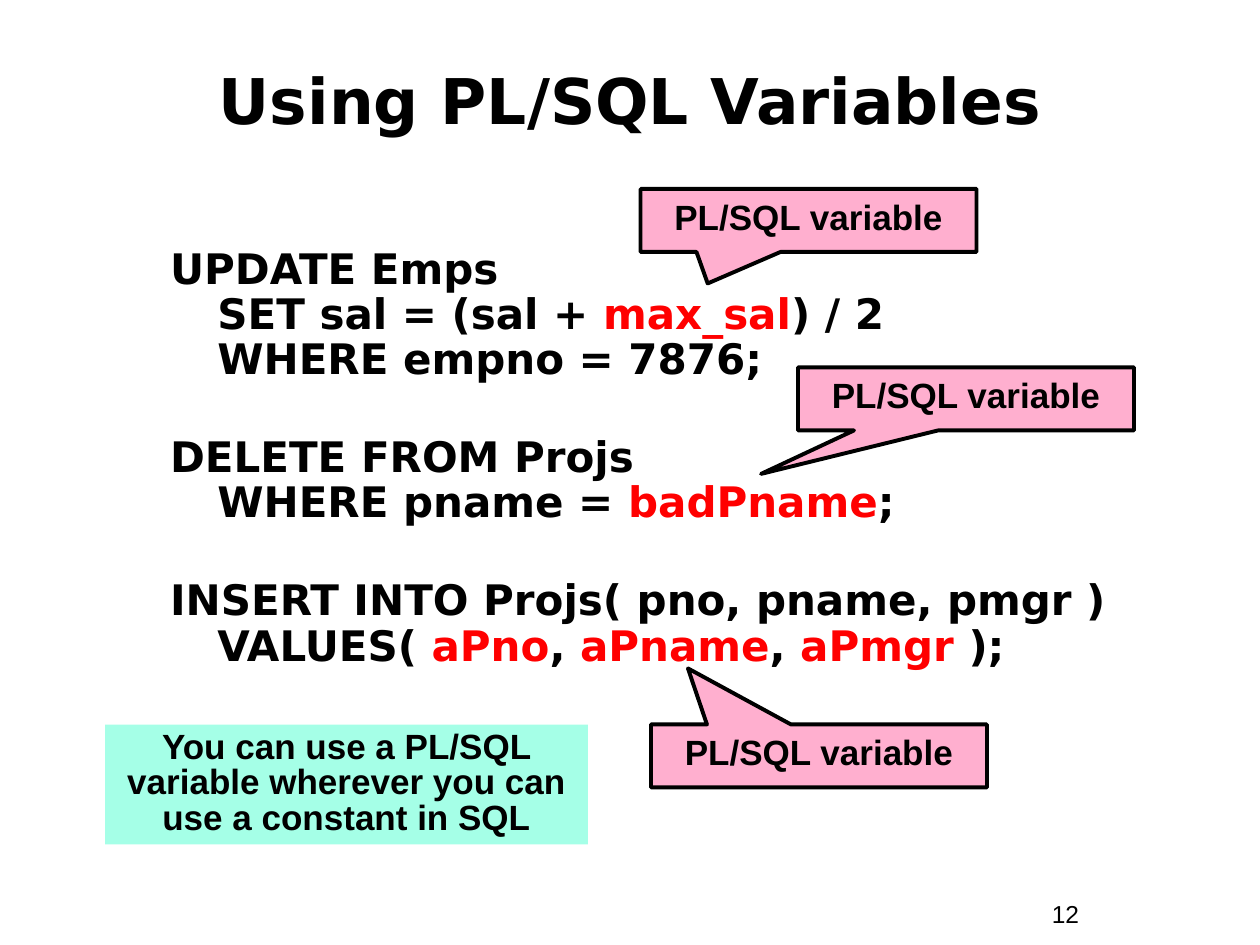
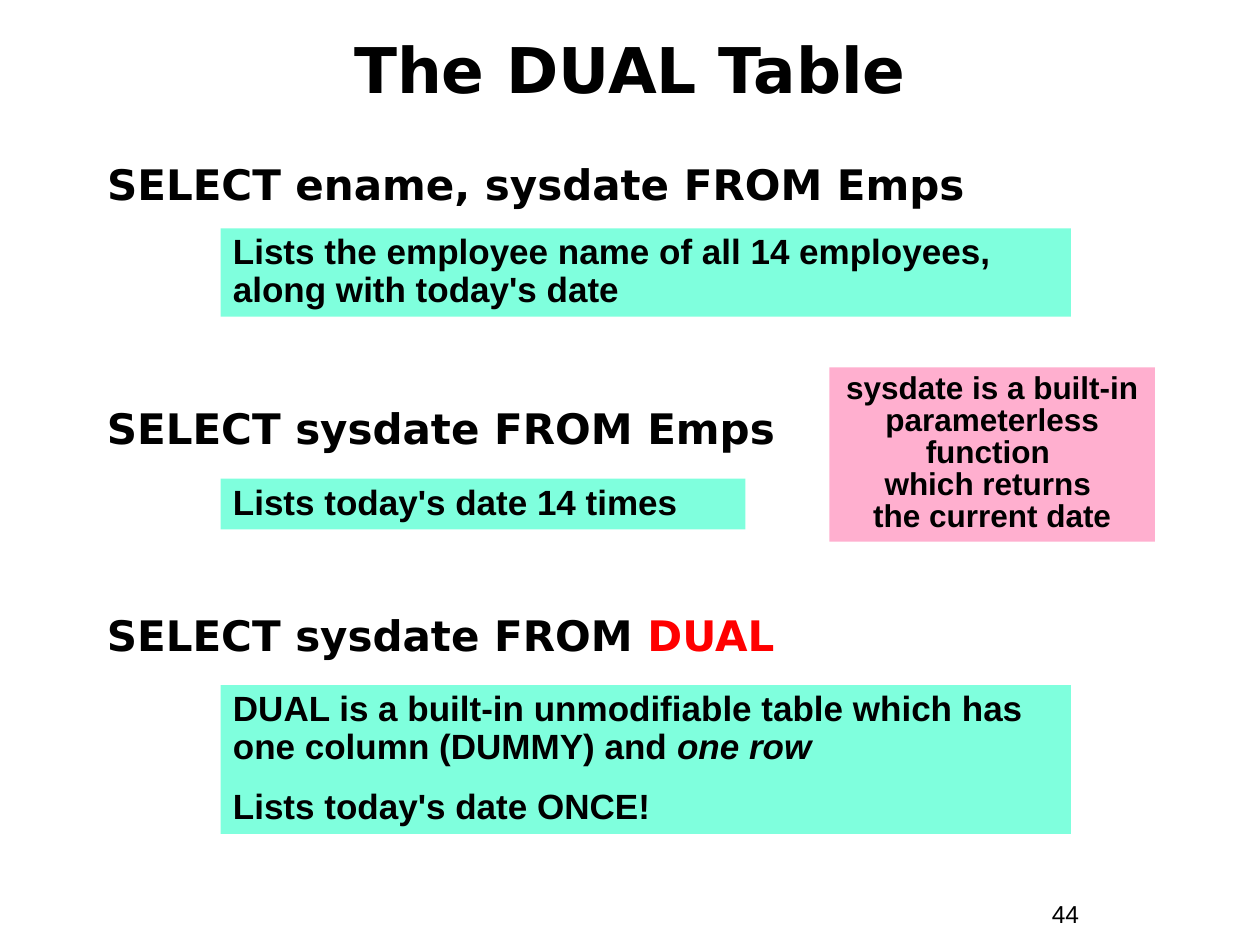
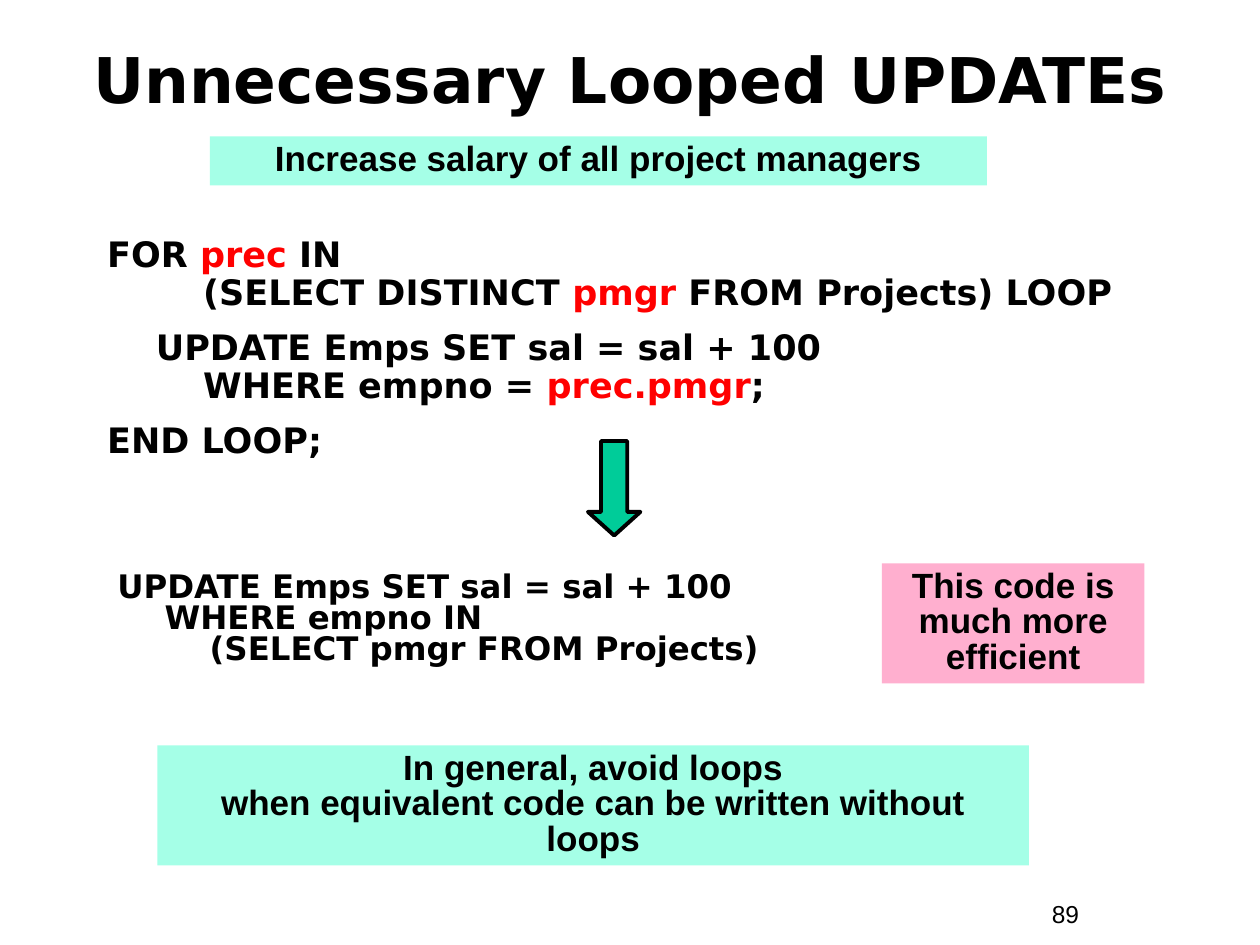
from lxml.etree import SubElement
from pptx import Presentation
from pptx.dml.color import RGBColor
from pptx.enum.shapes import MSO_SHAPE as Form
from pptx.enum.text import MSO_ANCHOR as Anchor, MSO_AUTO_SIZE as Auto, PP_ALIGN as Align
from pptx.oxml.ns import qn
from pptx.util import Pt

HUES = {
    "ink": "000000", "red": "FF0000", "pink": "FFAFCF",
    "mint": "A5FFE7", "aqua": "7FFFDD", "green": "00CC99",
}
CODE, TEXT = "DejaVu Sans", "Arial"


def hue(name):
    return RGBColor.from_string(HUES[name])


class Deck:
    def __init__(self):
        self.prs = Presentation()
        self.prs.slide_width, self.prs.slide_height = Pt(720), Pt(540)

    def start(self, title, top, number):
        layout = self.prs.slide_layouts[1]
        self.slide = self.prs.slides.add_slide(layout)
        head = self.slide.shapes.title
        self.place(head, (24, top, 672, 66))
        self.label(head, [title], CODE, 36, Align.CENTER)
        head.text_frame.vertical_anchor = Anchor.MIDDLE
        self.label(self.box((594, 510, 66, 24.5)), [number], TEXT, 14, bold=False)

    def place(self, shape, area):
        shape.left, shape.top, shape.width, shape.height = map(Pt, area)

    def box(self, area):
        return self.slide.shapes.add_textbox(*map(Pt, area))

    def label(self, shape, paras, font, size, align=Align.LEFT, pitch=1.0,
              gap=0, hang=False, bold=True, slant=False):
        """Fill a shape; parts between asterisks are red, or italic if slant."""
        frame = shape.text_frame
        frame.word_wrap, frame.auto_size = True, Auto.NONE
        frame.vertical_anchor = Anchor.TOP
        frame.margin_left = frame.margin_right = Pt(7.2)
        frame.margin_top = frame.margin_bottom = Pt(3.6)
        for i, text in enumerate(paras):
            para = frame.add_paragraph() if i else frame.paragraphs[0]
            para.alignment, para.line_spacing = align, pitch
            para.space_before = Pt(gap if i else 0)
            if hang:
                props = para._p.get_or_add_pPr()
                props.set("marL", str(Pt(27)))
                props.set("indent", str(-Pt(27)))
                SubElement(props, qn("a:buNone"))
            para.font.name, para.font.size = font, Pt(size)
            para.font.bold, para.font.color.rgb = bold, hue("ink")
            for j, part in enumerate(text.split("*")):
                self.add(para, part, j % 2, slant)

    def add(self, para, part, marked, slant):
        for k, line in enumerate(part.split("\n")):
            if k:
                para.add_line_break()
            if line:
                run = para.add_run()
                run.text = line
                if marked and slant:
                    run.font.italic = True
                elif marked:
                    run.font.color.rgb = hue("red")

    def body(self, area, paras, size=24, gap=0):
        shape = self.slide.placeholders[1]
        self.place(shape, area)
        self.label(shape, paras, CODE, size, pitch=0.9, gap=gap, hang=True)

    def code(self, area, text, size=24, pitch=0.9):
        self.label(self.box(area), [text], CODE, size, pitch=pitch, hang=True)

    def form(self, kind, area, fill, edge=False, bends=()):
        shape = self.slide.shapes.add_shape(kind, *map(Pt, area))
        shape.shadow.inherit = False
        shape.fill.solid()
        shape.fill.fore_color.rgb = hue(fill)
        if edge:
            shape.line.color.rgb, shape.line.width = hue("ink"), Pt(2.25)
        else:
            shape.line.fill.background()
        for i, bend in enumerate(bends):
            shape.adjustments[i] = bend
        return shape

    def note(self, area, text, fill="mint", size=20):
        shape = self.form(Form.RECTANGLE, area, fill)
        self.label(shape, [text], TEXT, size, Align.CENTER, 0.85)

    def remark(self, area, *paras):
        shape = self.form(Form.RECTANGLE, area, "aqua")
        self.label(shape, paras, TEXT, 20, pitch=0.9, gap=12.5, slant=True)

    def callout(self, left, top, tip):
        shape = self.form(Form.RECTANGULAR_CALLOUT, (left, top, 192, 36), "pink", True, tip)
        self.label(shape, ["PL/SQL variable"], TEXT, 20, Align.CENTER)


def variables(deck):
    deck.start("Using PL/SQL Variables", 24, "12")
    deck.body((90, 138, 594, 318), [
        "UPDATE Emps\nSET sal = (sal + *max_sal*) / 2\nWHERE empno = 7876;",
        "DELETE FROM Projs\nWHERE pname = *badPname*;",
        "INSERT INTO Projs( pno, pname, pmgr )\nVALUES( *aPno*, *aPname*, *aPmgr* );",
    ], gap=30)
    deck.callout(366, 108, (-0.3, 1))
    deck.callout(456, 210, (-0.61, 1.19))
    deck.callout(372, 414, (-0.39, -1.39))
    deck.note((60, 414, 276, 68.5),
              "You can use a PL/SQL variable wherever you can use a constant in SQL")


def dual(deck):
    deck.start("The DUAL Table", 6, "44")
    deck.body((54, 90, 606, 48), ["SELECT ename, sysdate FROM Emps"])
    deck.remark((126, 130.5, 486, 50.5),
                "Lists the employee name of all 14 employees, along with today's date")
    deck.code((54, 229.5, 606, 48), "SELECT sysdate FROM Emps")
    deck.remark((126, 273.5, 300, 29), "Lists today's date 14 times")
    deck.code((54, 348, 606, 48), "SELECT sysdate FROM *DUAL*")
    deck.remark((126, 391.5, 486, 85),
                "DUAL is a built-in unmodifiable table which has "
                "one column (DUMMY) and *one row*",
                "Lists today's date ONCE!")
    deck.note((474, 210, 186, 99.5),
              "sysdate is a built-in parameterless function \nwhich returns \nthe current date",
              "pink", 18)


def loops(deck):
    deck.start("Unnecessary Looped UPDATEs", 12, "89")
    deck.body((54, 132, 612, 156), [
        "FOR *prec* IN\n    (SELECT DISTINCT *pmgr* FROM Projects) LOOP",
        "    UPDATE Emps SET sal = sal + 100\n    WHERE empno = *prec.pmgr*;",
        "END LOOP;",
    ], 20, 10)
    deck.code((60, 324, 612, 84),
              "UPDATE Emps SET sal = sal + 100\nWHERE empno IN\n    (SELECT pmgr FROM Projects)",
              18.5, 0.8)
    deck.form(Form.DOWN_ARROW, (336, 252, 30, 54), "green", True, (0.5, 0.45))
    deck.note((90, 426, 498, 68.5),
              "In general, avoid loops\nwhen equivalent code can be written without loops")
    deck.note((120, 78, 444, 28), "Increase salary of all project managers")
    deck.note((504, 322, 150, 68.5), "This code is much more efficient", "pink")


def main():
    deck = Deck()
    for build in (variables, dual, loops):
        build(deck)
    deck.prs.save("out.pptx")


if __name__ == "__main__":
    main()
